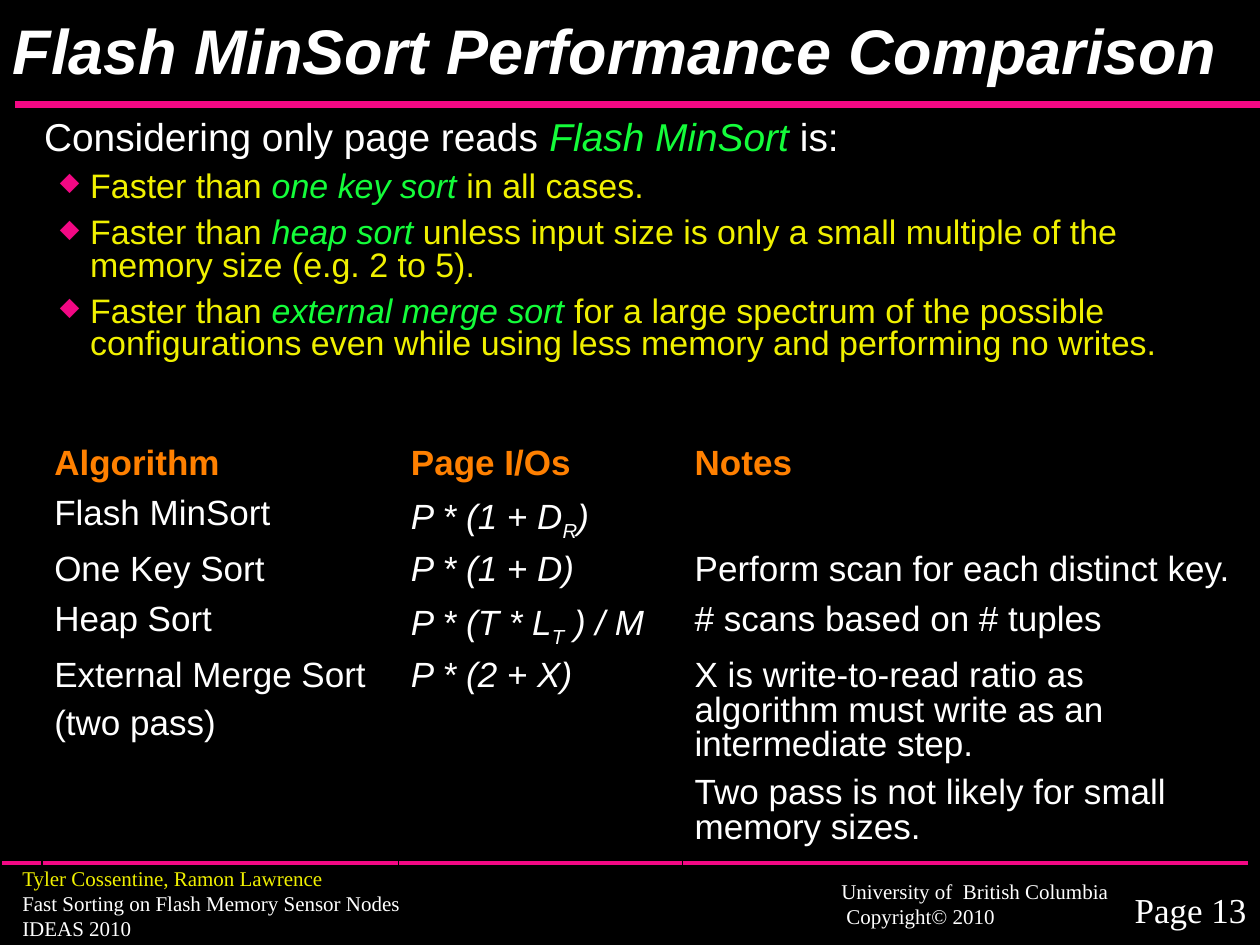
from lxml.etree import SubElement
from pptx import Presentation
from pptx.dml.color import RGBColor
from pptx.enum.shapes import MSO_CONNECTOR as Connector
from pptx.enum.text import MSO_ANCHOR as Anchor, PP_ALIGN as Align
from pptx.oxml import parse_xml
from pptx.oxml.ns import nsdecls, qn
from pptx.util import Cm, Pt

BLACK, WHITE, PINK = "000000", "FFFFFF", "F20884"
YELLOW, GREEN, ORANGE = "F0F000", "14FD3A", "FF8000"
SANS, SERIF = "Arial", "Times New Roman"

ITALIC = {"italic": True}
SUBSCRIPT = {"italic": True, "baseline": -25000}
ACCENT = {"italic": True, "color": GREEN}

FINDINGS = [
    ["Faster than ", ("one key sort", ACCENT), " in all cases."],
    ["Faster than ", ("heap sort", ACCENT),
     " unless input size is only a small multiple of the memory size (e.g. 2 to 5)."],
    ["Faster than ", ("external merge sort", ACCENT),
     " for a large spectrum of the possible configurations even while using less memory"
     " and performing no writes."],
]

HEADINGS = ["Algorithm", "Page I/Os", "Notes"]
ALGORITHMS = [
    [[["Flash MinSort"]],
     [[("P * (1 + D", ITALIC), ("R", SUBSCRIPT), (")", ITALIC)]],
     []],
    [[["One Key Sort"]],
     [[("P * (1 + D)", ITALIC)]],
     [["Perform scan for each distinct key."]]],
    [[["Heap Sort"]],
     [[("P * (T * L", ITALIC), ("T", SUBSCRIPT), (" ) / M", ITALIC)]],
     [["# scans based on # tuples"]]],
    [[["External Merge Sort"], ["(two pass)"]],
     [[("P * (2 + X)", ITALIC)]],
     [["X is write-to-read ratio as algorithm must write as an intermediate step."],
      ["Two pass is not likely for small memory sizes."]]],
]
COLUMN_WIDTHS = [7.19, 5.72, 11.43]
ROW_HEIGHTS = [1.02, 1.12, 1.02, 1.12, 4.29]


def rgb(color):
    return RGBColor.from_string(color)


def add_run(paragraph, text, size, font, color, bold=False, italic=False, baseline=None):
    run = paragraph.add_run()
    run.text = text
    run.font.size = Pt(size)
    run.font.name = font
    run.font.bold = bold
    run.font.italic = italic
    run.font.color.rgb = rgb(color)
    if baseline:
        run.font._element.set("baseline", str(baseline))


def write(frame, pieces, align=Align.LEFT, spacing=1.0, before=0, indent=0, hanging=0,
          bullet=None, **style):
    paragraph = frame.paragraphs[0]
    if paragraph.runs:
        paragraph = frame.add_paragraph()
    paragraph.alignment = align
    paragraph.line_spacing = spacing
    paragraph.space_before = Pt(before)
    properties = paragraph._p.get_or_add_pPr()
    properties.set("marL", str(Cm(indent)))
    properties.set("indent", str(Cm(-hanging)))
    if bullet:
        bullet_color = SubElement(properties, qn("a:buClr"))
        SubElement(bullet_color, qn("a:srgbClr")).set("val", PINK)
        SubElement(properties, qn("a:buSzPct")).set("val", "75000")
        SubElement(properties, qn("a:buChar")).set("char", bullet)
    for piece in pieces:
        text, change = (piece, {}) if isinstance(piece, str) else piece
        add_run(paragraph, text, **{**style, **change})


def add_text_area(slide, left, top, width, height, margin=0.13):
    frame = slide.shapes.add_textbox(Cm(left), Cm(top), Cm(width), Cm(height)).text_frame
    frame.word_wrap = True
    frame.margin_top = frame.margin_bottom = Cm(margin)
    return frame


def add_rule(slide, start, end, y, weight):
    rule = slide.shapes.add_connector(Connector.STRAIGHT, Cm(start), Cm(y), Cm(end), Cm(y))
    rule.line.color.rgb = rgb(PINK)
    rule.line.width = Pt(weight)
    SubElement(rule._element.spPr, qn("a:effectLst"))


def add_title(slide, text):
    title = slide.shapes.title
    title.left, title.top, title.width, title.height = Cm(0), Cm(0), Cm(25.4), Cm(1.91)
    frame = title.text_frame
    frame.word_wrap = True
    frame.vertical_anchor = Anchor.BOTTOM
    write(frame, [text], spacing=0.89, size=36, font=SANS, color=WHITE, bold=True, italic=True)


def add_findings(slide):
    frame = add_text_area(slide, 0, 2.34, 25.4, 5.08)
    write(frame, ["Considering only page reads ", ("Flash MinSort", ACCENT), " is:"],
          spacing=0.79, before=9, indent=0.64, size=22.2, font=SANS, color=WHITE)
    for finding in FINDINGS:
        write(frame, finding, spacing=0.79, before=7.9, indent=1.57, hanging=0.61,
              bullet="◆", size=19.4, font=SANS, color=YELLOW)


def set_borders(cell, outer_sides):
    properties = cell._tc.get_or_add_tcPr()
    for order, side in enumerate("LRTB"):
        width = Pt(1.08 if side in outer_sides else 0.45)
        properties.insert(order, parse_xml(
            f'<a:ln{side} {nsdecls("a")} w="{width}"><a:solidFill>'
            f'<a:srgbClr val="{BLACK}"/></a:solidFill></a:ln{side}>'))


def add_comparison(slide):
    rows = [[[[heading]] for heading in HEADINGS]] + ALGORITHMS
    last_row, last_column = len(rows) - 1, len(HEADINGS) - 1
    table = slide.shapes.add_table(
        len(rows), len(HEADINGS), Cm(0.84), Cm(8.89),
        Cm(sum(COLUMN_WIDTHS)), Cm(sum(ROW_HEIGHTS))).table
    table.horz_banding = False
    for column, width in zip(table.columns, COLUMN_WIDTHS):
        column.width = Cm(width)
    for r, (row, height) in enumerate(zip(rows, ROW_HEIGHTS)):
        table.rows[r].height = Cm(height)
        for c, paragraphs in enumerate(row):
            cell = table.cell(r, c)
            cell.fill.background()
            edges = {"L": c == 0, "R": c == last_column, "T": r == 0, "B": r == last_row}
            set_borders(cell, [side for side, is_outer in edges.items() if is_outer])
            for pieces in paragraphs:
                write(cell.text_frame, pieces, spacing=0.89, before=7.5, size=20, font=SANS,
                      color=WHITE if r else ORANGE, bold=r == 0)


def add_footer(slide):
    add_rule(slide, 0.05, 25.15, 17.4, 2)
    small = {"size": 12, "font": SERIF}
    page = add_text_area(slide, 22.43, 17.78, 2.95, 1.12)
    write(page, ["Page 13"], align=Align.RIGHT, before=12.5, size=20, font=SERIF, color=WHITE)
    rights = add_text_area(slide, 16.71, 17.58, 5.99, 1.27)
    write(rights, ["University of  British Columbia  Copyright© 2010"],
          before=7.5, color=WHITE, **small)
    talk = add_text_area(slide, 0.2, 17.55, 10.36, 1.42, margin=0)
    write(talk, ["Tyler Cossentine, Ramon Lawrence"],
          spacing=0.8, before=7.5, color=YELLOW, **small)
    for line in ["Fast Sorting on Flash Memory Sensor Nodes", "IDEAS 2010"]:
        write(talk, [line], color=WHITE, **small)


def main():
    deck = Presentation()
    deck.slide_width, deck.slide_height = Cm(25.4), Cm(19.05)
    slide = deck.slides.add_slide(deck.slide_layouts[5])
    slide.background.fill.solid()
    slide.background.fill.fore_color.rgb = rgb(BLACK)
    add_rule(slide, 0.3, 25.4, 2.11, 3.75)
    add_footer(slide)
    add_title(slide, "Flash MinSort Performance Comparison")
    add_findings(slide)
    add_comparison(slide)
    deck.save("out.pptx")


if __name__ == "__main__":
    main()
